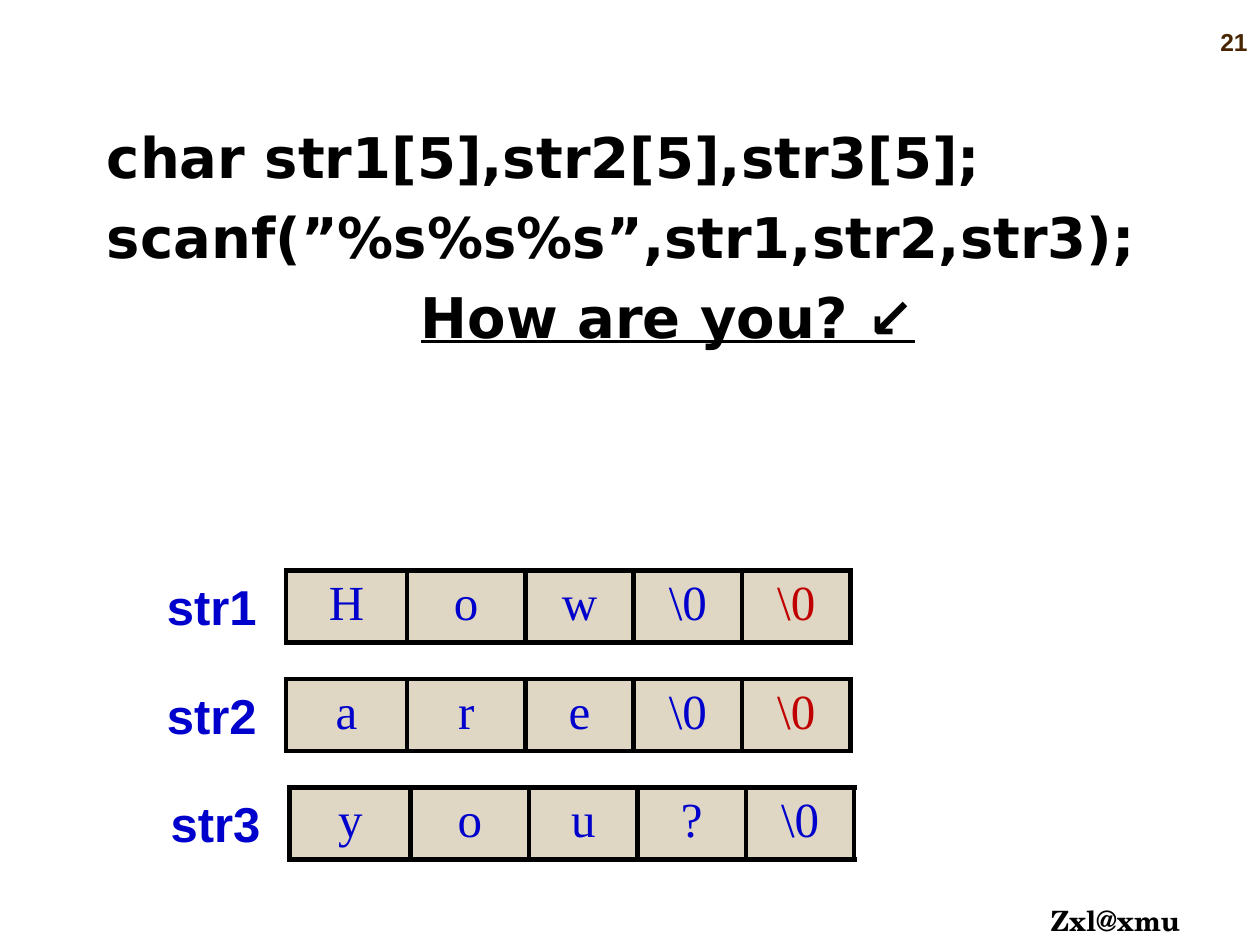
from lxml.etree import fromstring
from pptx import Presentation
from pptx.dml.color import RGBColor
from pptx.enum.shapes import MSO_SHAPE as Shape
from pptx.enum.text import MSO_ANCHOR as Anchor, PP_ALIGN as Align
from pptx.oxml.ns import nsdecls
from pptx.util import Inches, Pt

BLACK, BLUE, RED, BROWN = "000000", "0000CC", "C00000", "482400"
WHITE, SAND = "FFFFFF", "DFD6C3"
CODE = [
    ("char str1[5],str2[5],str3[5];", {}),
    ("scanf(”%s%s%s”,str1,str2,str3);", {}),
    ("How are you? ↙", {"align": Align.CENTER, "underline": True}),
]
ARRAYS = [
    ("str1", 1.17, [("H", BLUE), ("o", BLUE), ("w", BLUE), ("\\0", BLUE), ("\\0", RED)]),
    ("str2", 1.17, [("a", BLUE), ("r", BLUE), ("e", BLUE), ("\\0", BLUE), ("\\0", RED)]),
    ("str3", 1.2, [("y", BLUE), ("o", BLUE), ("u", BLUE), ("?", BLUE), ("\\0", BLUE)]),
]
COLUMNS = [0.96, 0.94, 0.86, 0.86, 0.86]
FIRST_TOP, ROW_PITCH, ROW_HEIGHT = 4.53, 0.86, 0.57
LABEL_WIDTH, LABEL_TO_CELLS = 1.02, 1.1


def color(hex_string):
    return RGBColor.from_string(hex_string)


def write(paragraph, text, font="Arial", size=28, fill=BLUE, bold=False,
          underline=None, align=Align.LEFT, before=0):
    paragraph.alignment = align
    paragraph.space_before = Pt(before)
    run = paragraph.add_run()
    run.text = text
    run.font.name, run.font.size = font, Pt(size)
    run.font.bold, run.font.underline = bold, underline
    run.font.color.rgb = color(fill)


def add_label(slide, box, text, wrap=True, anchor=Anchor.TOP, **style):
    frame = slide.shapes.add_textbox(*map(Inches, box)).text_frame
    frame.word_wrap, frame.vertical_anchor = wrap, anchor
    write(frame.paragraphs[0], text, **style)


def add_code(slide):
    panel = slide.shapes.add_shape(Shape.RECTANGLE, *map(Inches, (0.75, 0.92, 9.1, 3.05)))
    panel.shadow.inherit = False
    panel.fill.solid()
    panel.fill.fore_color.rgb = color(WHITE)
    panel.line.fill.background()
    frame = panel.text_frame
    frame.word_wrap, frame.vertical_anchor = True, Anchor.TOP
    for index, (statement, style) in enumerate(CODE):
        paragraph = frame.add_paragraph() if index else frame.paragraphs[0]
        write(paragraph, statement, font="DejaVu Sans", size=32, fill=BLACK, bold=True,
              before=7.5 if index else 0, **style)


def add_borders(cell):
    properties = cell._tc.get_or_add_tcPr()
    for index, side in enumerate("LRTB"):
        properties.insert(index, fromstring(
            f'<a:ln{side} {nsdecls("a")} w="{Pt(3)}"><a:solidFill>'
            f'<a:srgbClr val="{BLACK}"/></a:solidFill></a:ln{side}>'))


def add_array(slide, name, left, top, characters):
    add_label(slide, (left, top, LABEL_WIDTH, ROW_HEIGHT), name, bold=True, align=Align.CENTER)
    place = (left + LABEL_TO_CELLS, top, sum(COLUMNS), ROW_HEIGHT)
    table = slide.shapes.add_table(1, len(COLUMNS), *map(Inches, place)).table
    table.first_row = table.horz_banding = False
    for column, width in zip(table.columns, COLUMNS):
        column.width = Inches(width)
    for cell, (character, ink) in zip(table.rows[0].cells, characters):
        cell.fill.solid()
        cell.fill.fore_color.rgb = color(SAND)
        add_borders(cell)
        write(cell.text_frame.paragraphs[0], character, font="Times New Roman",
              fill=ink, align=Align.CENTER)


def main():
    """Build the slide on reading three strings with scanf."""
    deck = Presentation()
    deck.slide_width, deck.slide_height = Inches(10), Inches(7.5)
    slide = deck.slides.add_slide(deck.slide_layouts[6])
    add_label(slide, (8.24, 7.12, 1.29, 0.37), "Zxl@xmu", wrap=False,
              font="TeX Gyre Schola", size=16, fill=BLACK, bold=True)
    add_label(slide, (7.92, 0, 2.08, 0.5), "21", anchor=Anchor.BOTTOM,
              size=14, fill=BROWN, bold=True, align=Align.RIGHT)
    add_code(slide)
    for index, (name, left, characters) in enumerate(ARRAYS):
        add_array(slide, name, left, FIRST_TOP + index * ROW_PITCH, characters)
    deck.save("out.pptx")


if __name__ == "__main__":
    main()
